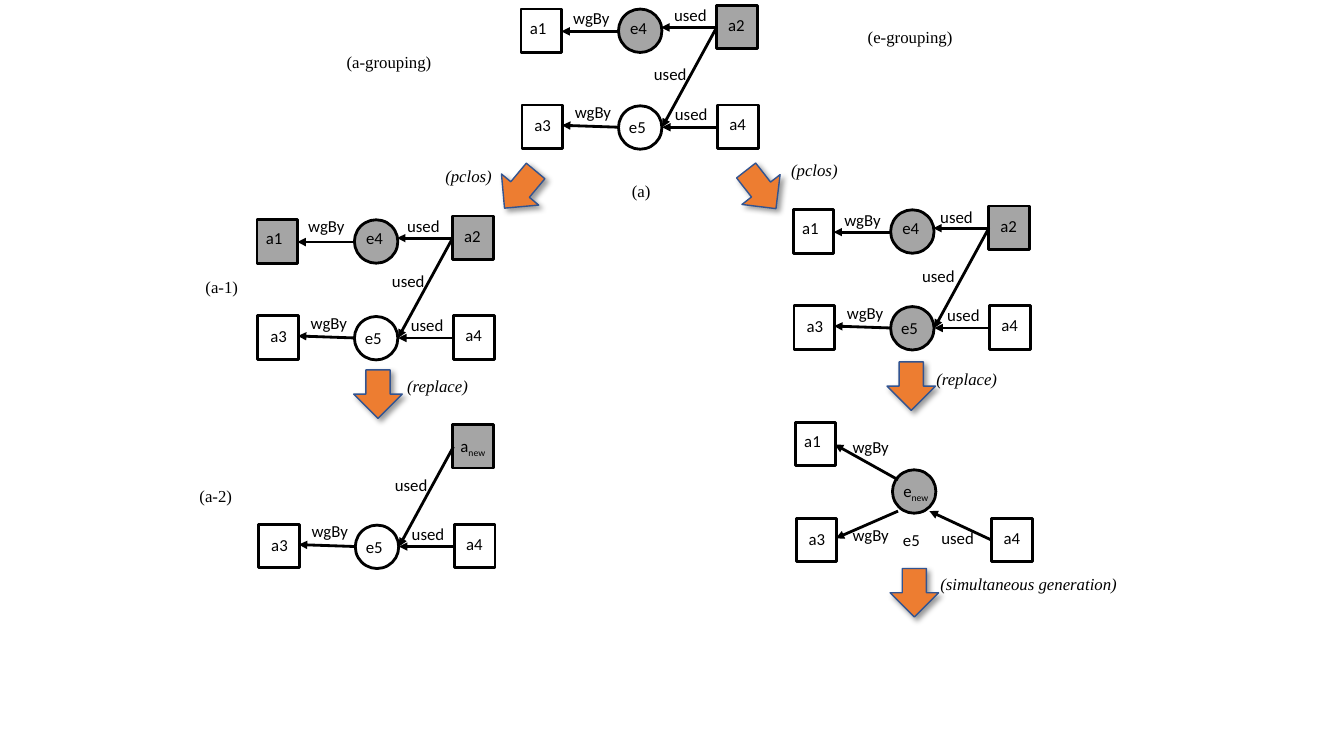
from lxml.etree import SubElement
from pptx import Presentation
from pptx.dml.color import RGBColor
from pptx.enum.shapes import MSO_CONNECTOR as Connector, MSO_SHAPE as Preset
from pptx.enum.text import MSO_AUTO_SIZE as AutoSize
from pptx.oxml.ns import qn
from pptx.util import Pt

COLORS = {"ink": "000000", "white": "FFFFFF", "grey": "A5A5A5",
          "orange": "ED7D31", "blue": "325491"}
BODY, SERIF = "Calibri", "Times New Roman"
BOX, CIRCLE = (29, 31), (31, 31)
WIDTHS = {"used": 37.8, "wgBy": 40.3, "e4": 29.5, "a_new": 34, "e_new": 34.5}

NODES = {
    "a1": (0, 2.7, -0.7, 2.4),
    "a3": (0.6, 71.3, 1.9, 3.6),
    "e4": (69.6, 2.7, 1.2, 2.4),
    "e5": (69.6, 71.8, 0.4, 4.5),
    "a2": (139.7, 0, 1.2, 3.4),
    "a4": (140.4, 71.3, 1.3, 2.9),
    "a_new": (139.2, 0, -1.6, 4.3),
    "e_new": (69.4, 36.7, 0.6, 4.3),
}
TOP_EDGES = [((69.8, 18.6), (28.8, 18.6)), ((139.7, 15.8), (100, 15.8))]
BOTTOM_EDGES = [((69.8, 87.1), (29.2, 85.7)), ((140.4, 87.1), (100.8, 87.1)),
                ((139.7, 15.8), (100.8, 87.1))]
MERGED_EDGES = [((73.4, 41), (28.2, 15.8)), ((73.4, 63.4), (28.9, 82.8)),
                ((140.4, 84.2), (95.8, 63.4))]


def color(name):
    return RGBColor.from_string(COLORS[name])


def add_label(slide, text, left, top, width, font=BODY, italic=False):
    box = slide.shapes.add_textbox(Pt(left), Pt(top), Pt(width), Pt(21.8))
    frame = box.text_frame
    frame.word_wrap = False
    frame.auto_size = AutoSize.SHAPE_TO_FIT_TEXT
    paragraph = frame.paragraphs[0]
    paragraph.font.name = font
    paragraph.font.size = Pt(12)
    paragraph.font.italic = italic
    paragraph.font.color.rgb = color("ink")
    base, _, subscript = text.partition("_")
    paragraph.add_run().text = base
    if subscript:
        run = paragraph.add_run()
        run.text = subscript
        run._r.get_or_add_rPr().set("baseline", "-25000")


def add_outlined(slide, preset, left, top, size, fill, line, line_width):
    shape = slide.shapes.add_shape(preset, Pt(left), Pt(top), *map(Pt, size))
    shape.shadow.inherit = False
    if fill:
        shape.fill.solid()
        shape.fill.fore_color.rgb = color(fill)
    else:
        shape.fill.background()
    shape.line.color.rgb = color(line)
    shape.line.width = Pt(line_width)
    return shape


def add_node(slide, name, origin, grey):
    x, y, label_x, label_y = NODES[name]
    left, top = origin[0] + x, origin[1] + y
    preset, size = (Preset.OVAL, CIRCLE) if name[0] == "e" else (Preset.RECTANGLE, BOX)
    fill = "grey" if name in grey else "white" if name in ("a1", "a3") else None
    add_outlined(slide, preset, left, top, size, fill, "ink", 2)
    add_label(slide, name, left + label_x, top + label_y, WIDTHS.get(name, 26.6))


def add_edge(slide, origin, start, end):
    points = [Pt(base + offset) for point in (start, end)
              for base, offset in zip(origin, point)]
    edge = slide.shapes.add_connector(Connector.STRAIGHT, *points)
    edge.line.color.rgb = color("ink")
    edge.line.width = Pt(2)
    SubElement(edge.line._get_or_add_ln(), qn("a:tailEnd"), type="triangle")
    SubElement(edge._element.spPr, qn("a:effectLst"))


def add_graph(slide, origin, nodes, grey, edges, labels):
    for name in nodes:
        add_node(slide, name, origin, grey)
    for start, end in edges:
        add_edge(slide, origin, start, end)
    for text, x, y in labels:
        add_label(slide, text, origin[0] + x, origin[1] + y, WIDTHS[text])


def add_step_arrow(slide, left, top, rotation):
    arrow = add_outlined(slide, Preset.RIGHT_ARROW, left, top, (34.6, 34.6),
                         "orange", "blue", 1)
    arrow.rotation = rotation
    effects = arrow._element.spPr.find(qn("a:effectLst"))
    shadow = SubElement(effects, qn("a:outerShdw"), blurRad=str(Pt(4)),
                        dist=str(Pt(3)), dir="2700000", rotWithShape="0")
    shade = SubElement(shadow, qn("a:srgbClr"), val=COLORS["ink"])
    SubElement(shade, qn("a:alpha"), val="40000")


def main():
    presentation = Presentation()
    presentation.slide_width, presentation.slide_height = Pt(960), Pt(540)
    slide = presentation.slides.add_slide(presentation.slide_layouts[6])

    bottom_labels = [("wgBy", 31.3, 65.3), ("used", 102.8, 67)]
    full_nodes = ("a1", "a3", "e4", "e5", "a2", "a4")
    for origin, grey, top_wgby, top_used, diagonal in (
        ((372.2, 3.8), {"e4", "a2"}, (30.2, -1.6), (102.2, -3.8), (87.8, 38)),
        ((183.6, 154.3), {"a1", "e4", "a2"}, (29.5, -3.8), (100.1, -3.8), (89.3, 35.8)),
        ((566.6, 147.2), {"e4", "e5", "a2"}, (29.5, -1), (97.9, -3.2), (85, 39.3)),
    ):
        labels = [("wgBy", *top_wgby), ("used", *top_used), ("used", *diagonal)]
        add_graph(slide, origin, full_nodes, grey, TOP_EDGES + BOTTOM_EDGES,
                  labels + bottom_labels)
    add_graph(slide, (184.2, 303.3), ("a3", "e5", "a_new", "a4"), {"a_new"},
              BOTTOM_EDGES, [("used", 90.8, 32.2)] + bottom_labels)
    add_graph(slide, (568.1, 298.9), ("a1", "a3", "e_new", "a4"), {"e_new"},
              [((x1, y1 + 2.8), (x2, y2 + 2.8)) for (x1, y1), (x2, y2) in MERGED_EDGES],
              [("wgBy", 33.8, 9.3), ("wgBy", 33.8, 72.6), ("used", 97.2, 74.8)])
    add_label(slide, "e5", 637.9, 375.1, 26.6)

    for left, top, rotation in ((354.2, 118.1, 129.9), (526.3, 118.1, 52),
                                (252.7, 264.2, 90), (633.6, 258.5, 90),
                                (635.8, 406.1, 90)):
        add_step_arrow(slide, left, top, rotation)

    for text, left, top, width, italic in (
        ("(a-grouping)", 240.5, 33.1, 75.6, False),
        ("(e-grouping)", 612.7, 15.8, 75.6, False),
        ("(a)", 444.2, 125.3, 28.1, False),
        ("(a-1)", 139.7, 194.4, 38.2, False),
        ("(a-2)", 135.4, 343.4, 38.2, False),
        ("(pclos)", 558, 110.9, 48.2, True),
        ("(pclos)", 311, 114.5, 48.2, True),
        ("(replace)", 283.7, 265, 58.3, True),
        ("(replace)", 661.7, 259.9, 58.3, True),
        ("(simultaneous generation)", 664.6, 406.1, 142.6, True),
    ):
        add_label(slide, text, left, top, width, SERIF, italic)

    presentation.save("out.pptx")


main()
